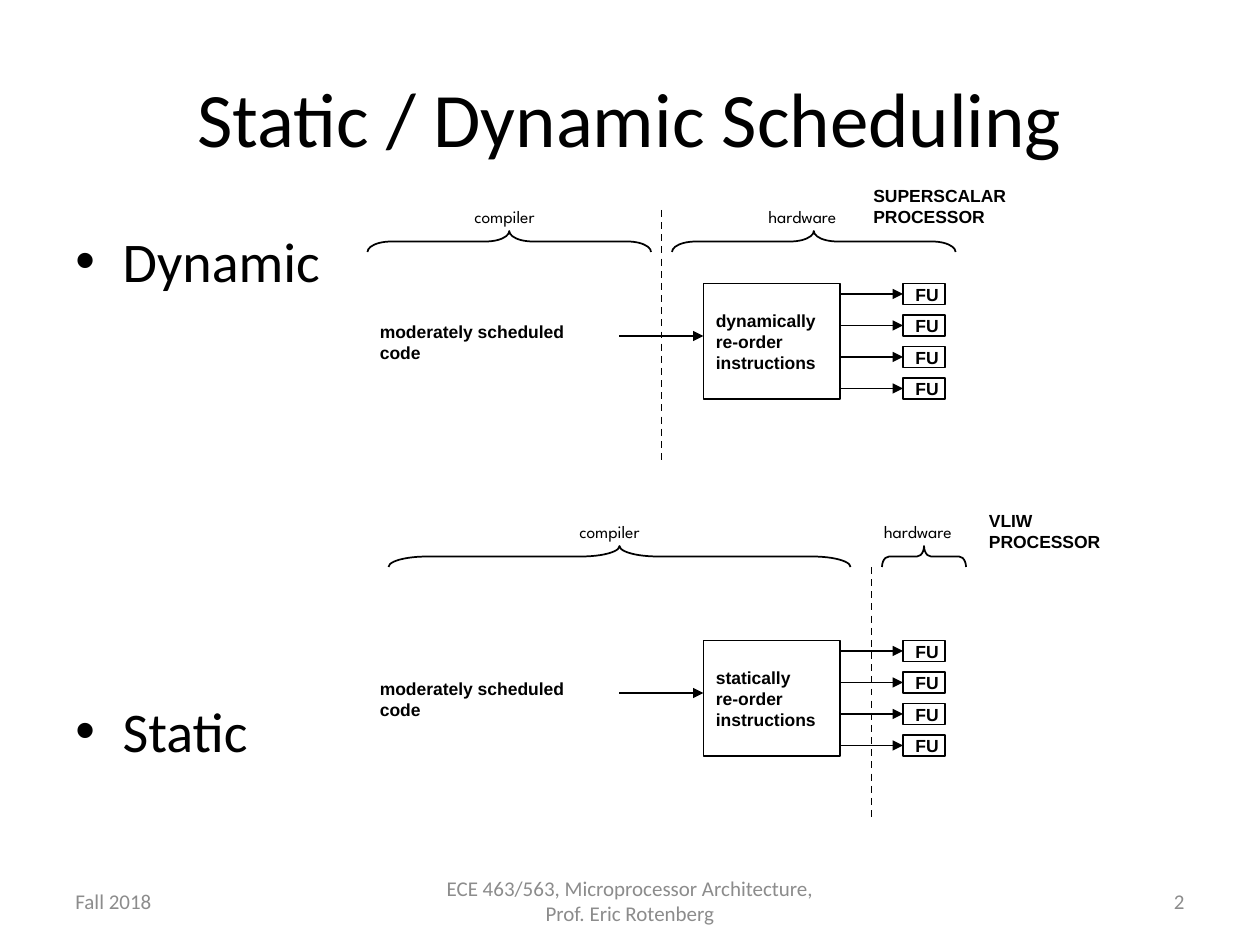
from dataclasses import dataclass

from lxml.etree import SubElement
from pptx import Presentation
from pptx.dml.color import RGBColor
from pptx.enum.dml import MSO_LINE
from pptx.enum.shapes import MSO_CONNECTOR, MSO_SHAPE
from pptx.enum.text import MSO_ANCHOR, MSO_AUTO_SIZE, PP_ALIGN
from pptx.oxml.ns import qn
from pptx.util import Emu, Pt

BLACK = RGBColor(0x00, 0x00, 0x00)
WHITE = RGBColor(0xFF, 0xFF, 0xFF)
GRAY = RGBColor(0x8C, 0x8C, 0x8C)

PX = 7620  # 120 px to the inch
BRACE_DEPTH = 20
UNIT_COUNT = 4
UNIT_STEP = 30


@dataclass(frozen=True)
class Label:
    text: str
    left: int
    top: int
    width: int
    height: int = 32


@dataclass(frozen=True)
class Brace:
    center_x: int
    center_y: int
    length: int


@dataclass(frozen=True)
class Pipeline:
    top: int
    scheduler: str
    divider_x: int
    divider_top: int
    processor: Label
    stages: tuple[Label, ...]
    braces: tuple[Brace, ...]


PIPELINES = (
    Pipeline(270, "dynamically\nre-order\ninstructions", 630, 200,
             Label("SUPERSCALAR\nPROCESSOR", 820, 170, 151, 51),
             (Label("compiler", 440, 190, 96), Label("hardware", 720, 190, 103)),
             (Brace(485, 230, 270), Brace(775, 230, 270))),
    Pipeline(610, "statically\nre-order\ninstructions", 830, 540,
             Label("VLIW\nPROCESSOR", 930, 480, 131, 51),
             (Label("compiler", 540, 490, 96), Label("hardware", 830, 490, 103)),
             (Brace(590, 530, 440), Brace(880, 530, 80))),
)

FOOTERS = (
    (Label("Fall 2018", 60, 834, 280, 48), PP_ALIGN.LEFT),
    (Label("ECE 463/563, Microprocessor Architecture, Prof. Eric Rotenberg",
           410, 834, 380, 48), PP_ALIGN.CENTER),
    (Label("2", 860, 834, 280, 48), PP_ALIGN.RIGHT),
)


def px(*lengths: int) -> list[Emu]:
    return [Emu(length * PX) for length in lengths]


def write(frame, text: str, size: int, font: str, color: RGBColor = BLACK,
          bold: bool = False, align: PP_ALIGN = PP_ALIGN.LEFT) -> None:
    frame.text = text
    for paragraph in frame.paragraphs:
        paragraph.alignment = align
        for run in paragraph.runs:
            run.font.size = Pt(size)
            run.font.name = font
            run.font.bold = bold
            run.font.color.rgb = color


def add_label(page, label: Label, font: str = "Arial", bold: bool = True) -> None:
    box = page.shapes.add_textbox(
        *px(label.left, label.top, label.width, label.height))
    box.text_frame.word_wrap = False
    box.text_frame.auto_size = MSO_AUTO_SIZE.SHAPE_TO_FIT_TEXT
    write(box.text_frame, label.text, 10, font, bold=bold)


def add_block(page, label: Label):
    block = page.shapes.add_shape(
        MSO_SHAPE.RECTANGLE,
        *px(label.left, label.top, label.width, label.height))
    block.shadow.inherit = False
    block.fill.solid()
    block.fill.fore_color.rgb = WHITE
    block.line.color.rgb = BLACK
    block.line.width = Pt(1)
    block.text_frame.word_wrap = False
    block.text_frame.vertical_anchor = MSO_ANCHOR.MIDDLE
    write(block.text_frame, label.text, 10, "Arial", bold=True)
    return block


def add_line(page, start: tuple[int, int], end: tuple[int, int]):
    line = page.shapes.add_connector(MSO_CONNECTOR.STRAIGHT, *px(*start, *end))
    line.line.color.rgb = BLACK
    line.line.width = Pt(1)
    SubElement(line._element.spPr, qn("a:effectLst"))
    return line


def add_arrow(page, start: tuple[int, int], end: tuple[int, int]):
    arrow = add_line(page, start, end)
    SubElement(arrow.line._get_or_add_ln(), qn("a:tailEnd"), type="triangle")
    return arrow


def add_brace(page, brace: Brace) -> None:
    """Draw a left brace turned so that its point faces up."""
    shape = page.shapes.add_shape(
        MSO_SHAPE.LEFT_BRACE,
        *px(brace.center_x - BRACE_DEPTH // 2,
            brace.center_y - brace.length // 2, BRACE_DEPTH, brace.length))
    shape.rotation = 90
    shape.adjustments[0] = brace.length / (12 * BRACE_DEPTH)
    shape.shadow.inherit = False
    shape.fill.background()
    shape.line.color.rgb = BLACK
    shape.line.width = Pt(1)


def add_pipeline(page, pipeline: Pipeline) -> None:
    top = pipeline.top
    add_label(page, Label("moderately scheduled code", 350, top + 30, 242))
    add_block(page, Label(pipeline.scheduler, 670, top, 130, 110))
    add_arrow(page, (590, top + 50), (670, top + 50))
    for index in range(UNIT_COUNT):
        unit_top = top + index * UNIT_STEP
        unit = add_block(page, Label("FU", 860, unit_top, 40, 20))
        arrow = add_arrow(page, (800, unit_top + 10), (860, unit_top + 10))
        arrow.end_connect(unit, 1)

    divider = add_line(page, (pipeline.divider_x, pipeline.divider_top),
                       (pipeline.divider_x, pipeline.divider_top + 240))
    divider.line.dash_style = MSO_LINE.DASH
    for brace in pipeline.braces:
        add_brace(page, brace)
    for stage in pipeline.stages:
        add_label(page, stage, "League Spartan", bold=False)
    add_label(page, pipeline.processor)


def add_topics(page) -> None:
    box = page.shapes.add_textbox(*px(60, 210, 1080, 594))
    box.text_frame.word_wrap = True
    write(box.text_frame, "Dynamic\nStatic", 32, "Calibri")
    for paragraph in box.text_frame.paragraphs:
        properties = paragraph._p.get_or_add_pPr()
        properties.set("marL", str(45 * PX))
        properties.set("indent", str(-45 * PX))
        SubElement(properties, qn("a:buFont"), typeface="Arial")
        SubElement(properties, qn("a:buChar"), char="•")
    box.text_frame.paragraphs[1].space_before = Pt(230)


def add_footer(page, label: Label, align: PP_ALIGN) -> None:
    box = page.shapes.add_textbox(
        *px(label.left, label.top, label.width, label.height))
    box.text_frame.word_wrap = True
    box.text_frame.vertical_anchor = MSO_ANCHOR.MIDDLE
    write(box.text_frame, label.text, 12, "Calibri", GRAY, align=align)


def main() -> None:
    deck = Presentation()
    deck.slide_width, deck.slide_height = px(1200, 900)
    page = deck.slides.add_slide(deck.slide_layouts[5])

    title = page.shapes.title
    title.left, title.top, title.width, title.height = px(60, 36, 1080, 150)
    title.text_frame.vertical_anchor = MSO_ANCHOR.MIDDLE
    write(title.text_frame, "Static / Dynamic Scheduling", 44, "Calibri",
          align=PP_ALIGN.CENTER)

    add_topics(page)
    for pipeline in PIPELINES:
        add_pipeline(page, pipeline)
    for label, align in FOOTERS:
        add_footer(page, label, align)
    deck.save("out.pptx")


if __name__ == "__main__":
    main()
